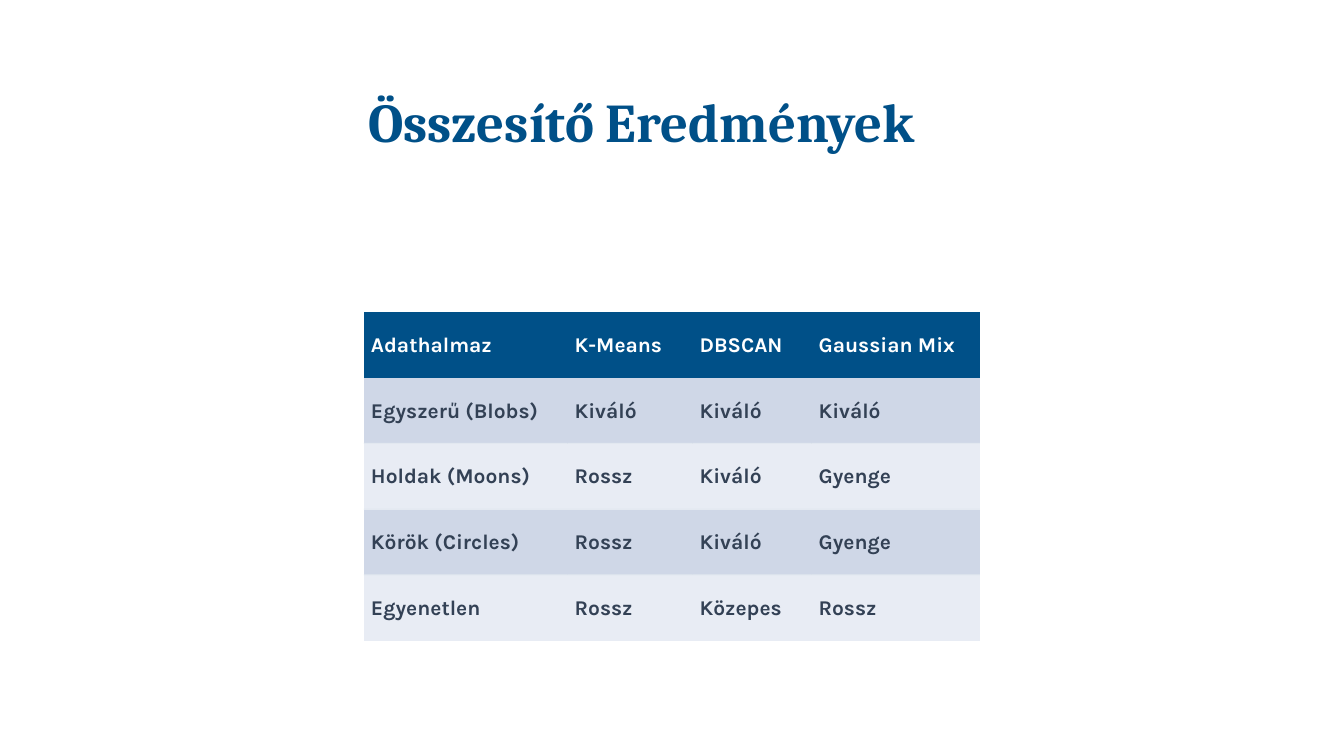
from pptx import Presentation
from pptx.dml.color import RGBColor
from pptx.enum.shapes import MSO_SHAPE
from pptx.enum.text import MSO_ANCHOR, MSO_AUTO_SIZE, PP_ALIGN
from pptx.oxml.ns import qn
from pptx.util import Inches, Pt

NAVY, SLATE, WHITE = "005088", "334155", "FFFFFF"
BANDS = ["E8ECF4", "CFD7E7"]
RULE = "E2E8F0"
NO_GRID_STYLE = "{2D5ABB26-0587-4C30-8999-92F81FD0307C}"

LEFT, TOP, HEIGHT = 3.61, 3.1, 3.26
COL_WIDTHS = [2.02, 1.24, 1.18, 1.67]
ROWS = [
    ["Adathalmaz", "K-Means", "DBSCAN", "Gaussian Mix"],
    ["Egyszerű (Blobs)", "Kiváló", "Kiváló", "Kiváló"],
    ["Holdak (Moons)", "Rossz", "Kiváló", "Gyenge"],
    ["Körök (Circles)", "Rossz", "Kiváló", "Gyenge"],
    ["Egyenetlen", "Rossz", "Közepes", "Rossz"],
]
ROW_HEIGHT = HEIGHT / len(ROWS)


def color(hex_code):
    return RGBColor.from_string(hex_code)


def style_run(r, font, size, hex_code):
    r.font.name = font
    r.font.size = Pt(size)
    r.font.bold = True
    r.font.color.rgb = color(hex_code)


prs = Presentation()
prs.slide_width, prs.slide_height = Inches(13.33), Inches(7.5)
s = prs.slides.add_slide(prs.slide_layouts[5])

# Title
title = s.shapes.title
title.left, title.top = Inches(3.65), Inches(0.87)
title.width, title.height = Inches(6.34), Inches(0.68)
tf = title.text_frame
tf.text = "Összesítő Eredmények"
tf.margin_left = tf.margin_right = tf.margin_top = tf.margin_bottom = 0
tf.vertical_anchor = MSO_ANCHOR.TOP
tf.auto_size = MSO_AUTO_SIZE.SHAPE_TO_FIT_TEXT
p = tf.paragraphs[0]
p.alignment = PP_ALIGN.LEFT
style_run(p.runs[0], "Cambria", 39, NAVY)

# Results table
frame = s.shapes.add_table(len(ROWS), len(COL_WIDTHS), Inches(LEFT), Inches(TOP),
                           Inches(sum(COL_WIDTHS)), Inches(HEIGHT))
table = frame.table
table._tbl.tblPr.find(qn("a:tableStyleId")).text = NO_GRID_STYLE
for column, width in zip(table.columns, COL_WIDTHS):
    column.width = Inches(width)
for i, row in enumerate(ROWS):
    for j, text in enumerate(row):
        cell = table.cell(i, j)
        cell.fill.solid()
        cell.fill.fore_color.rgb = color(BANDS[i % 2] if i else NAVY)
        cell.vertical_anchor = MSO_ANCHOR.MIDDLE
        cell.margin_left = cell.margin_right = Inches(0.07)
        cell.margin_top = cell.margin_bottom = Inches(0.03)
        cell.text = text
        style_run(cell.text_frame.paragraphs[0].runs[0], "Karla", 15,
                  SLATE if i else WHITE)

# Thin rules under the body rows, except the last
for i in range(2, len(ROWS)):
    for j, width in enumerate(COL_WIDTHS):
        sp = s.shapes.add_shape(MSO_SHAPE.RECTANGLE,
                                Inches(LEFT + sum(COL_WIDTHS[:j])),
                                Inches(TOP + i * ROW_HEIGHT - 0.01),
                                Inches(width), Inches(0.01))
        sp.shadow.inherit = False
        sp.fill.solid()
        sp.fill.fore_color.rgb = color(RULE)
        sp.line.fill.background()

prs.save("out.pptx")
